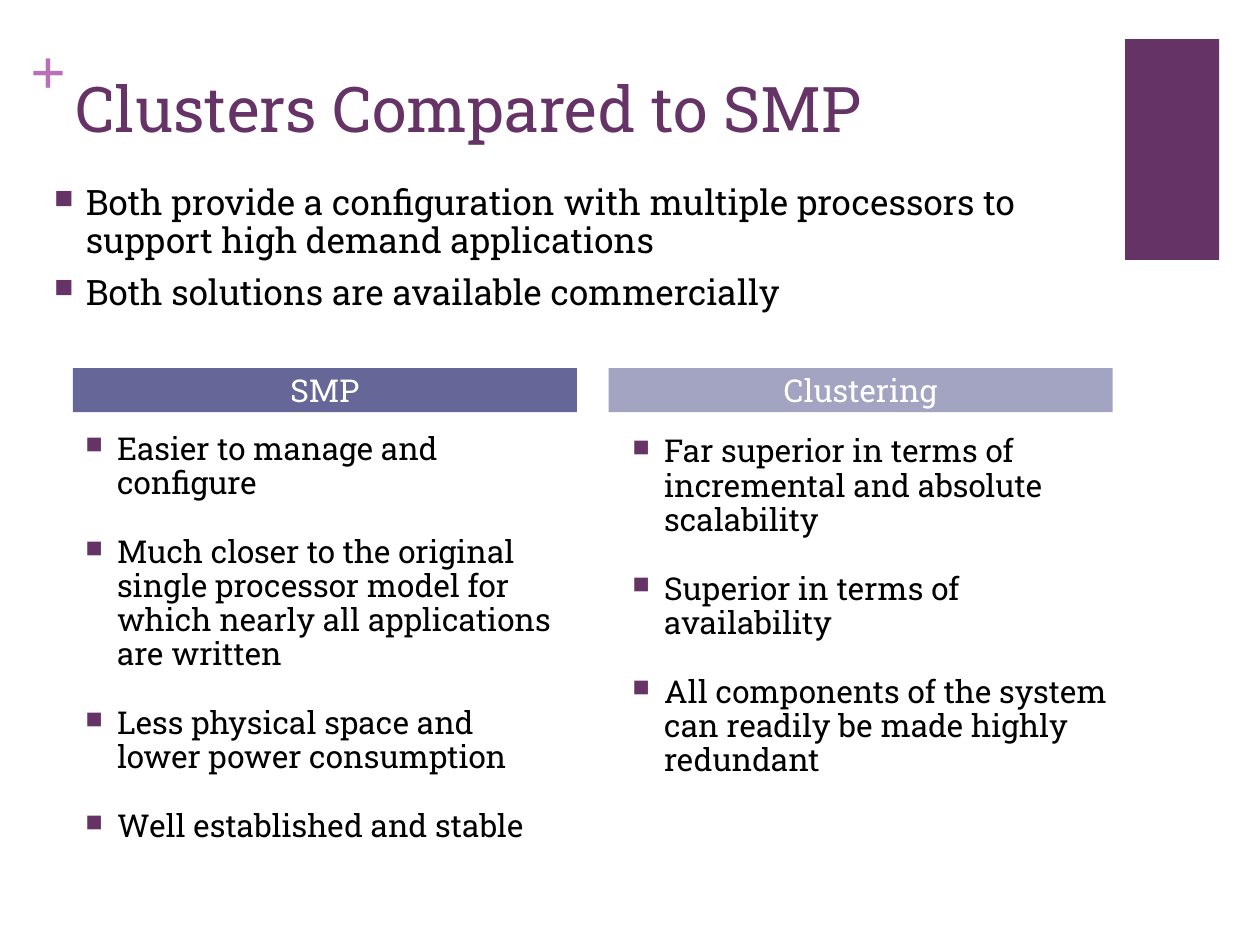
from dataclasses import dataclass

import lxml.etree
import pptx
import pptx.dml.color
import pptx.enum.shapes
import pptx.enum.text
import pptx.oxml.ns
import pptx.presentation
import pptx.shapes.autoshape
import pptx.slide
import pptx.text.text
import pptx.util

Cm = pptx.util.Cm
Pt = pptx.util.Pt


@dataclass(frozen=True)
class Theme:
    font: str = "Roboto Slab"
    plus_font: str = "Times New Roman"
    purple: str = "663366"
    orchid: str = "B870B8"
    indigo: str = "666699"
    lavender: str = "A3A3C2"
    black: str = "000000"
    white: str = "FFFFFF"
    title_size: int = 36
    intro_size: int = 20
    column_size: int = 18


THEME = Theme()


@dataclass(frozen=True)
class Box:
    """Position and size in centimetres."""

    left: float
    top: float
    width: float
    height: float

    def lengths(self) -> tuple[int, int, int, int]:
        return Cm(self.left), Cm(self.top), Cm(self.width), Cm(self.height)


@dataclass(frozen=True)
class BulletList:
    box: Box
    size: int
    space_before: int
    items: tuple[str, ...]


@dataclass(frozen=True)
class Column:
    heading: str
    heading_box: Box
    fill: str
    bullets: BulletList


COLUMN_WIDTH = 10.16
HEADING_TOP = 7.42
HEADING_HEIGHT = 0.89
COLUMN_GAP = 20

INTRO = BulletList(
    Box(0.84, 3.61, 21.03, 3.89),
    THEME.intro_size,
    8,
    (
        "Both provide a configuration with multiple processors to support high demand applications",
        "Both solutions are available commercially",
    ),
)

COLUMNS = (
    Column(
        "SMP",
        Box(1.47, HEADING_TOP, COLUMN_WIDTH, HEADING_HEIGHT),
        THEME.indigo,
        BulletList(
            Box(1.47, 8.61, COLUMN_WIDTH, 9.17),
            THEME.column_size,
            COLUMN_GAP,
            (
                "Easier to manage and configure",
                "Much closer to the original single processor model for which nearly all applications are written",
                "Less physical space and lower power consumption",
                "Well established and stable",
            ),
        ),
    ),
    Column(
        "Clustering",
        Box(12.27, HEADING_TOP, COLUMN_WIDTH, HEADING_HEIGHT),
        THEME.lavender,
        BulletList(
            Box(12.5, 8.66, COLUMN_WIDTH, 9.07),
            THEME.column_size,
            COLUMN_GAP,
            (
                "Far superior in terms of incremental and absolute scalability",
                "Superior in terms of availability",
                "All components of the system can readily be made highly redundant",
            ),
        ),
    ),
)


def rgb(value: str) -> pptx.dml.color.RGBColor:
    return pptx.dml.color.RGBColor.from_string(value)


def format_text(
    text_frame: pptx.text.text.TextFrame, size: int, color: str, font: str = THEME.font
) -> None:
    for paragraph in text_frame.paragraphs:
        for run in paragraph.runs:
            run.font.size = Pt(size)
            run.font.name = font
            run.font.color.rgb = rgb(color)


def add_rectangle(
    slide: pptx.slide.Slide, box: Box, fill: str
) -> pptx.shapes.autoshape.Shape:
    shape = slide.shapes.add_shape(
        pptx.enum.shapes.MSO_SHAPE.RECTANGLE, *box.lengths()
    )
    shape.shadow.inherit = False
    shape.fill.solid()
    shape.fill.fore_color.rgb = rgb(fill)
    shape.line.fill.background()
    return shape


def add_text(
    slide: pptx.slide.Slide, box: Box, text: str
) -> pptx.text.text.TextFrame:
    text_frame = slide.shapes.add_textbox(*box.lengths()).text_frame
    text_frame.word_wrap = True
    text_frame.text = text
    return text_frame


def add_square_bullet(paragraph: pptx.text.text._Paragraph) -> None:
    """Give the paragraph a hanging indent and a small purple square."""
    qn = pptx.oxml.ns.qn
    properties = paragraph._p.get_or_add_pPr()
    properties.set("marL", str(Cm(0.64)))
    properties.set("indent", str(Cm(-0.64)))
    color = lxml.etree.SubElement(properties, qn("a:buClr"))
    lxml.etree.SubElement(color, qn("a:srgbClr"), val=THEME.purple)
    lxml.etree.SubElement(properties, qn("a:buSzPct"), val="75000")
    lxml.etree.SubElement(properties, qn("a:buChar"), char="■")


def add_bullets(slide: pptx.slide.Slide, bullets: BulletList) -> None:
    text_frame = add_text(slide, bullets.box, "\n".join(bullets.items))
    format_text(text_frame, bullets.size, THEME.black)
    for paragraph in text_frame.paragraphs:
        paragraph.line_spacing = 0.9
        paragraph.space_before = Pt(bullets.space_before)
        add_square_bullet(paragraph)


def add_column(slide: pptx.slide.Slide, column: Column) -> None:
    text_frame = add_rectangle(slide, column.heading_box, column.fill).text_frame
    text_frame.text = column.heading
    text_frame.margin_top = text_frame.margin_bottom = 0
    text_frame.vertical_anchor = pptx.enum.text.MSO_ANCHOR.MIDDLE
    text_frame.paragraphs[0].alignment = pptx.enum.text.PP_ALIGN.CENTER
    format_text(text_frame, THEME.column_size, THEME.white)
    add_bullets(slide, column.bullets)


def add_plus(slide: pptx.slide.Slide) -> None:
    text_frame = add_text(slide, Box(0.61, 0.64, 0.74, 1.55), "+")
    text_frame.margin_left = text_frame.margin_right = 0
    text_frame.margin_top = text_frame.margin_bottom = 0
    format_text(text_frame, THEME.title_size, THEME.orchid, THEME.plus_font)
    text_frame.paragraphs[0].runs[0].font.bold = True


def build_presentation() -> pptx.presentation.Presentation:
    presentation = pptx.Presentation()
    presentation.slide_width = Cm(25.4)
    presentation.slide_height = Cm(19.05)
    slide = presentation.slides.add_slide(presentation.slide_layouts[6])
    add_rectangle(slide, Box(22.68, 0.79, 1.9, 4.45), THEME.purple)
    add_plus(slide)
    title = add_text(slide, Box(1.27, 1.27, 20.98, 2.03), "Clusters Compared to SMP")
    format_text(title, THEME.title_size, THEME.purple)
    for column in COLUMNS:
        add_column(slide, column)
    add_bullets(slide, INTRO)
    return presentation


if __name__ == "__main__":
    build_presentation().save("out.pptx")
